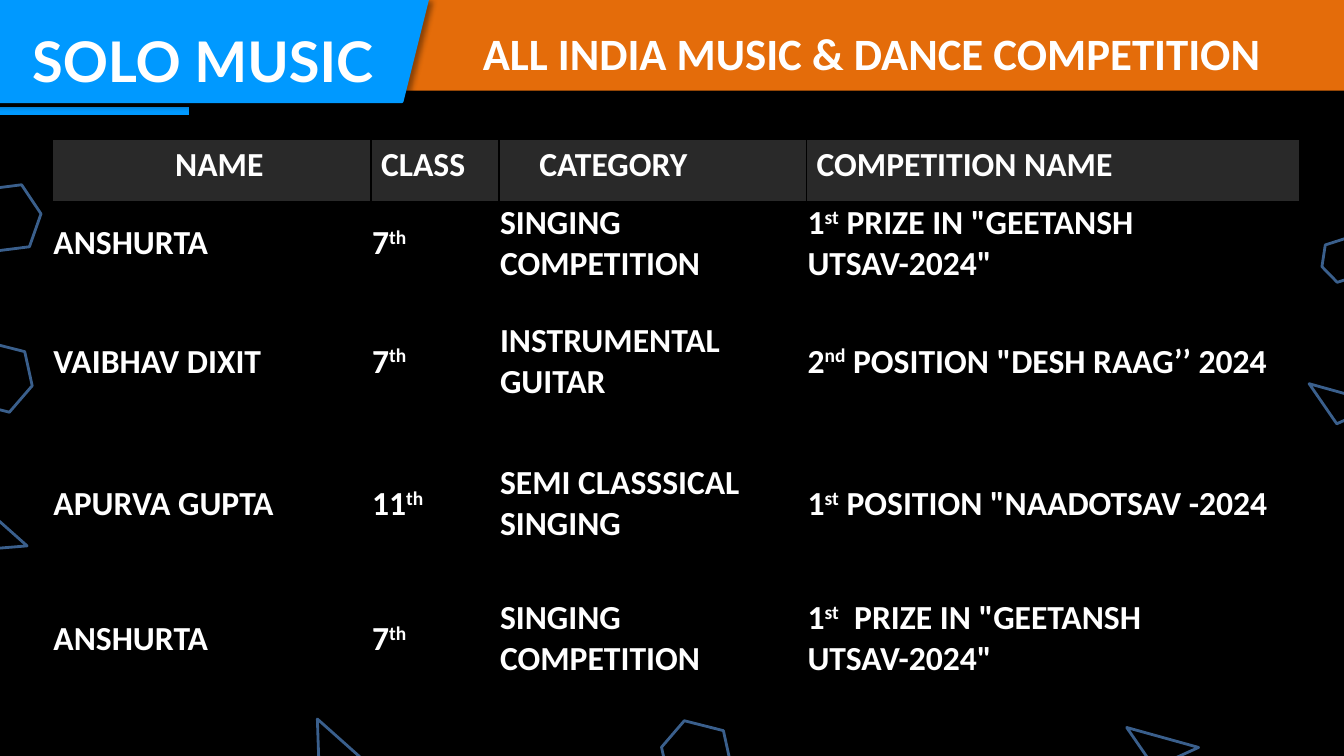
from pptx import Presentation
from pptx.dml.color import RGBColor
from pptx.enum.shapes import MSO_CONNECTOR, MSO_SHAPE
from pptx.enum.text import MSO_ANCHOR, PP_ALIGN
from pptx.oxml import parse_xml
from pptx.oxml.ns import qn
from pptx.util import Pt

RECTANGLE, TRAPEZOID = MSO_SHAPE.RECTANGLE, MSO_SHAPE.TRAPEZOID
TRIANGLE, HEXAGON = MSO_SHAPE.ISOSCELES_TRIANGLE, MSO_SHAPE.HEXAGON
STRAIGHT = MSO_CONNECTOR.STRAIGHT
MIDDLE, TOP = MSO_ANCHOR.MIDDLE, MSO_ANCHOR.TOP
LEFT, CENTER = PP_ALIGN.LEFT, PP_ALIGN.CENTER

PX = 9144  # 100 px to the inch
COLORS = {
    "black": "000000",
    "white": "FFFFFF",
    "orange": "E46C0A",
    "blue": "0099FF",
    "outline": "3A5F8C",
    "header": "292929",
}
NAMESPACE = "http://schemas.openxmlformats.org/drawingml/2006/main"
SHADOW = (
    f'<a:effectLst xmlns:a="{NAMESPACE}">'
    '<a:outerShdw blurRad="50800" dist="38100" dir="2700000" algn="tl" rotWithShape="0">'
    f'<a:srgbClr val="{COLORS["black"]}"><a:alpha val="40000"/></a:srgbClr>'
    "</a:outerShdw></a:effectLst>"
)
BORDER = (
    '<a:{side} xmlns:a="{namespace}" w="12700"><a:solidFill>'
    '<a:srgbClr val="{color}"/></a:solidFill></a:{side}>'
)

COLUMNS = [316, 127, 305, 489]
ROWS = [62, 78, 152, 130, 138]
# Header text, alignment, left margin
HEADERS = [
    ("NAME", CENTER, 25),
    ("CLASS", LEFT, 10),
    ("CATEGORY", LEFT, 40),
    ("COMPETITION NAME", LEFT, 10),
]
# Text between carets is superscript
WINNERS = [
    ("ANSHURTA", "7^th^", "SINGING COMPETITION", '1^st^ PRIZE IN "GEETANSH UTSAV-2024"'),
    ("VAIBHAV DIXIT", "7^th^", "INSTRUMENTAL GUITAR", '2^nd^ POSITION "DESH RAAG’’ 2024'),
    ("APURVA GUPTA", "11^th^", "SEMI CLASSSICAL SINGING", '1^st^ POSITION "NAADOTSAV -2024'),
    ("ANSHURTA", "7^th^", "SINGING COMPETITION", '1^st^  PRIZE IN "GEETANSH UTSAV-2024"'),
]
# Kind, left, top, width, height, rotation
ORNAMENTS = [
    (TRIANGLE, 1112, 731, 74, 31, 195.5),
    (HEXAGON, 655, 719, 71, 62, 14.2),
    (HEXAGON, 1310, 238, 46, 39, 342.2),
    (TRIANGLE, 297, 729, 59, 31, 221.7),
    (TRIANGLE, -35, 518, 59, 31, 221.7),
    (HEXAGON, -38, 343, 71, 62, 14.2),
    (HEXAGON, -37, 186, 78, 62, 352.8),
    (TRIANGLE, 1293, 390, 74, 31, 195.5),
]


def px(*lengths):
    return [length * PX for length in lengths]


def rgb(name):
    return RGBColor.from_string(COLORS[name])


class SlideBuilder:
    def __init__(self, page, background):
        self.page = page
        page.background.fill.solid()
        page.background.fill.fore_color.rgb = rgb(background)

    def cast_shadow(self, shape):
        properties = shape._element.spPr
        for effects in properties.findall(qn("a:effectLst")):
            properties.remove(effects)
        properties.append(parse_xml(SHADOW))

    def shape(self, kind, left, top, width, height, rotation=0, fill=None, line=None, shadow=False):
        shape = self.page.shapes.add_shape(kind, *px(left, top, width, height))
        shape.rotation = rotation
        if fill:
            shape.fill.solid()
            shape.fill.fore_color.rgb = rgb(fill)
        else:
            shape.fill.background()
        if line:
            shape.line.color.rgb = rgb(line)
            shape.line.width = Pt(2)
        else:
            shape.line.fill.background()
        shape.shadow.inherit = False
        if shadow:
            self.cast_shadow(shape)
        return shape

    def line(self, start_x, start_y, end_x, end_y, color, width):
        line = self.page.shapes.add_connector(STRAIGHT, *px(start_x, start_y, end_x, end_y))
        line.line.color.rgb = rgb(color)
        line.line.width = Pt(width)
        self.cast_shadow(line)

    def set_paragraph(self, paragraph, text, size, font, align=LEFT):
        paragraph.alignment = align
        paragraph.font.size = Pt(size)
        paragraph.font.name = font
        paragraph.font.bold = True
        paragraph.font.color.rgb = rgb("white")
        for index, part in enumerate(text.split("^")):
            if part:
                span = paragraph.add_run()
                span.text = part
                if index % 2:
                    span._r.get_or_add_rPr().set("baseline", "30000")

    def text(self, left, top, width, height, text, size, font):
        box = self.page.shapes.add_textbox(*px(left, top, width, height))
        box.text_frame.word_wrap = True
        self.set_paragraph(box.text_frame.paragraphs[0], text, size, font)

    def cell(self, cell, text, margins, anchor, align=LEFT, fill=None):
        """Margins are left, right, top, bottom."""
        cell.margin_left, cell.margin_right, cell.margin_top, cell.margin_bottom = px(*margins)
        cell.vertical_anchor = anchor
        properties = cell._tc.get_or_add_tcPr()
        for side in ("lnL", "lnR", "lnT", "lnB"):
            border = BORDER.format(side=side, namespace=NAMESPACE, color=COLORS["black"])
            properties.append(parse_xml(border))
        if fill:
            cell.fill.solid()
            cell.fill.fore_color.rgb = rgb(fill)
        else:
            cell.fill.background()
        self.set_paragraph(cell.text_frame.paragraphs[0], text, 24, "Calibri", align)

    def table(self, left, top, columns, rows, headers, records):
        frame = self.page.shapes.add_table(
            len(rows), len(columns), *px(left, top, sum(columns), sum(rows)))
        table = frame.table
        table.first_row = table.horz_banding = False
        for column, width in zip(table.columns, columns):
            column.width = width * PX
        for row, height in zip(table.rows, rows):
            row.height = height * PX
        for index, (text, align, margin) in enumerate(headers):
            self.cell(table.cell(0, index), text, (margin, 10, 5, 5), TOP, align, "header")
        for row, record in enumerate(records, 1):
            for column, text in enumerate(record):
                self.cell(table.cell(row, column), text, (1, 1, 1, 0), MIDDLE)


def main():
    deck = Presentation()
    deck.slide_width, deck.slide_height = px(1333, 750)
    page = deck.slides.add_slide(deck.slide_layouts[6])
    builder = SlideBuilder(page, "black")

    builder.shape(RECTANGLE, 0, 0, 1333, 90, fill="orange", shadow=True)
    builder.line(187, 110, -63, 110, "blue", 6)
    builder.table(52, 138, COLUMNS, ROWS, HEADERS, WINNERS)
    for ornament in ORNAMENTS:
        builder.shape(*ornament, line="outline")

    banner = builder.shape(TRAPEZOID, -130, 0, 554, 101, fill="blue", line="blue", shadow=True)
    banner._element.spPr.xfrm.set("flipV", "1")
    builder.text(22, 21, 383, 77, "SOLO MUSIC", 40, "Lato")
    builder.text(469, 21, 864, 64, "ALL INDIA MUSIC & DANCE COMPETITION", 32, "Calibri")
    deck.save("out.pptx")


if __name__ == "__main__":
    main()
